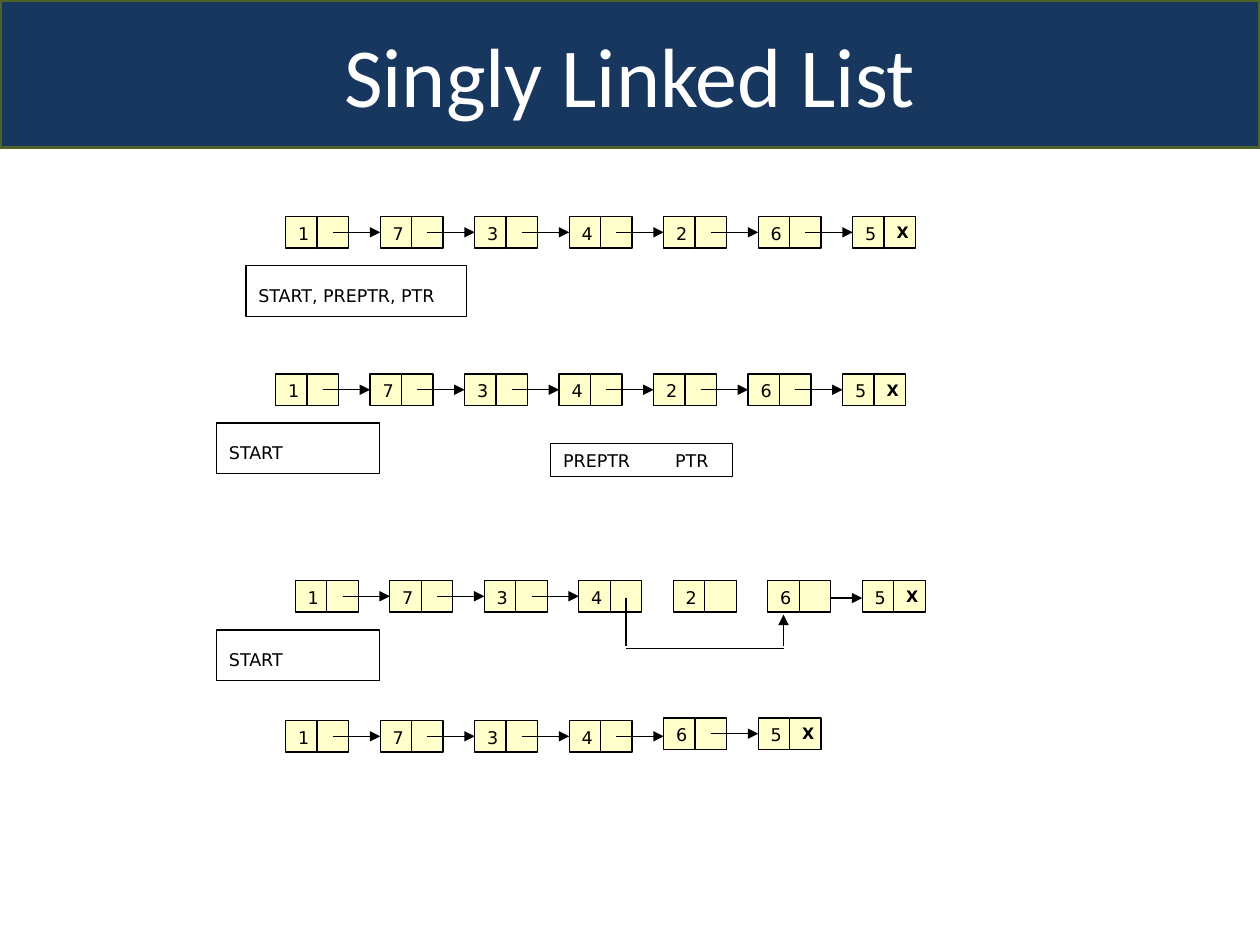
import pptx
import pptx.dml.color
import pptx.enum.shapes
import pptx.enum.text
import pptx.oxml
import pptx.oxml.ns
import pptx.util

Pt = pptx.util.Pt
ANCHOR = pptx.enum.text.MSO_ANCHOR
ALIGN = pptx.enum.text.PP_ALIGN
RECTANGLE = pptx.enum.shapes.MSO_SHAPE.RECTANGLE
STRAIGHT = pptx.enum.shapes.MSO_CONNECTOR.STRAIGHT
NAMESPACE = pptx.oxml.ns.nsdecls("a")

CELL = 18
PITCH = 3 * CELL
BLACK = "000000"
NODE_FILL = "FFFFCC"


def color(hex_string):
    return pptx.dml.color.RGBColor.from_string(hex_string)


def outline(shape, hex_string, width):
    shape.line.color.rgb = color(hex_string)
    shape.line.width = Pt(width)


def format_text(paragraph, font_name, size, hex_string, bold=False):
    for run in paragraph.runs:
        run.font.name = font_name
        run.font.size = Pt(size)
        run.font.bold = bold
        run.font.color.rgb = color(hex_string)


def add_box(shapes, left, top, width, height, text="", size=10, bold=False):
    """Add an unfilled, black-edged rectangle with left-aligned text."""
    box = shapes.add_shape(RECTANGLE, Pt(left), Pt(top), Pt(width), Pt(height))
    box.shadow.inherit = False
    box.fill.background()
    outline(box, BLACK, 0.75)
    box.text_frame.vertical_anchor = ANCHOR.TOP
    paragraph = box.text_frame.paragraphs[0]
    paragraph.text = text
    paragraph.alignment = ALIGN.LEFT
    format_text(paragraph, "DejaVu Sans", size, BLACK, bold)
    return box


def add_line(shapes, start, end, arrow=True):
    line = shapes.add_connector(STRAIGHT, *(Pt(value) for value in (*start, *end)))
    outline(line, BLACK, 0.75)
    properties = line._element.spPr
    if arrow:
        line.line._get_or_add_ln().append(
            pptx.oxml.parse_xml(f'<a:tailEnd {NAMESPACE} type="triangle"/>'))
    properties.append(pptx.oxml.parse_xml(f"<a:effectLst {NAMESPACE}/>"))


def add_nodes(shapes, left, top, values, links):
    """Draw one node per value; a link is '>' (next), 'X' (end) or '-' (none)."""
    for index, (value, link) in enumerate(zip(values, links)):
        x = left + index * PITCH
        end_mark = "X" if link == "X" else ""
        cells = [add_box(shapes, x, top, CELL, CELL, value),
                 add_box(shapes, x + CELL, top, CELL, CELL, end_mark, 9, True)]
        for cell in cells:
            cell.fill.solid()
            cell.fill.fore_color.rgb = color(NODE_FILL)
        if link == ">":
            middle = top + CELL / 2
            add_line(shapes, (x + 1.5 * CELL, middle), (x + PITCH, middle))


def add_bypass(shapes, left, top):
    """Route the link of node 4 under node 2 and up into node 6."""
    source = left + 3 * PITCH + 1.5 * CELL
    target = left + 5 * PITCH + 0.5 * CELL
    pointer_y, bottom = top + 10, top + 39
    add_line(shapes, (left + 5 * PITCH + 2 * CELL, pointer_y),
             (left + 6 * PITCH, pointer_y))
    add_line(shapes, (source, pointer_y), (source, bottom - 1.5), arrow=False)
    add_line(shapes, (source, bottom), (target, bottom), arrow=False)
    add_line(shapes, (target, bottom - 1.5), (target, top + 19.5))


def add_label(slide, left, top, width, height, text, bottom_margin, tab=None):
    label = add_box(slide.shapes, left, top, width, height, text)
    label.text_frame.word_wrap = True
    label.text_frame.vertical_anchor = ANCHOR.BOTTOM
    label.text_frame.margin_bottom = Pt(bottom_margin)
    if tab:
        properties = label.text_frame.paragraphs[0]._p.get_or_add_pPr()
        properties.append(pptx.oxml.parse_xml(
            f'<a:tabLst {NAMESPACE}><a:tab pos="{Pt(tab)}" algn="l"/></a:tabLst>'))


def add_title(slide, left, top, width, height):
    title = slide.shapes.title
    title.left, title.top = Pt(left), Pt(top)
    title.width, title.height = Pt(width), Pt(height)
    title.fill.solid()
    title.fill.fore_color.rgb = color("17375E")
    outline(title, "4F6228", 2)
    title.text_frame.text = "Singly Linked List"
    title.text_frame.vertical_anchor = ANCHOR.MIDDLE
    paragraph = title.text_frame.paragraphs[0]
    paragraph.alignment = ALIGN.CENTER
    format_text(paragraph, "Calibri", 48, "FFFFFF")


def main():
    presentation = pptx.Presentation()
    presentation.slide_width, presentation.slide_height = Pt(720), Pt(540)
    slide = presentation.slides.add_slide(presentation.slide_layouts[5])
    add_title(slide, 0, 0, 720, 84.25)

    first = slide.shapes.add_group_shape().shapes
    add_nodes(first, 163.25, 123.75, "1734265", ">>>>>>X")
    add_label(slide, 140.5, 151.75, 126, 29, "START, PREPTR, PTR", 6)

    second = slide.shapes.add_group_shape().shapes
    add_nodes(second, 157.5, 213.75, "1734265", ">>>>>>X")
    add_label(slide, 314.75, 253.25, 103.75, 19.25, "PREPTR\tPTR", 3.6, tab=64)
    add_label(slide, 123.75, 241.75, 93, 29, "START", 6)

    unlinked = slide.shapes.add_group_shape().shapes
    add_nodes(unlinked, 168.75, 331.75, "1734265", ">>>---X")
    add_bypass(unlinked, 168.75, 331.75)
    add_label(slide, 123.75, 360, 93, 29, "START", 6)

    result = slide.shapes.add_group_shape().shapes
    add_nodes(result, 163.25, 411.75, "1734", ">>>>")
    add_nodes(result, 163.25 + 4 * PITCH, 410.25, "65", ">X")

    presentation.save("out.pptx")


if __name__ == "__main__":
    main()
